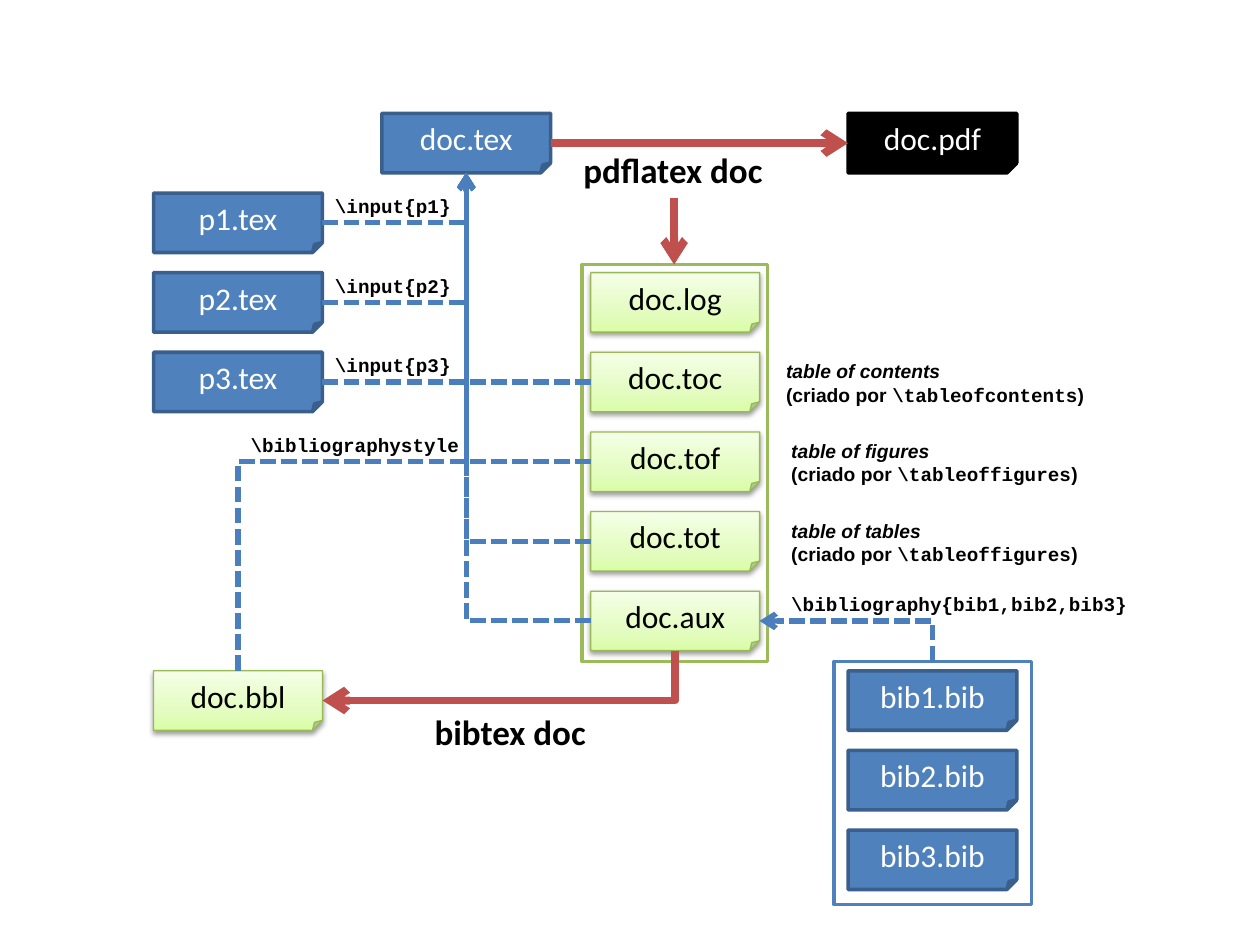
from pptx import Presentation
from pptx.dml.color import RGBColor
from pptx.enum.dml import MSO_LINE
from pptx.enum.shapes import MSO_CONNECTOR as Connector, MSO_SHAPE as Shape
from pptx.enum.text import MSO_ANCHOR, MSO_AUTO_SIZE, PP_ALIGN
from pptx.oxml import parse_xml
from pptx.oxml.ns import nsdecls, qn
from pptx.util import Pt

COLORS = {
    "white": "FFFFFF", "black": "000000", "blue": "4F81BD", "blue edge": "3A5F8C",
    "green": "9BBB59", "green edge": "98B955", "red": "C0504D", "link": "4B7EBC",
}
GREEN_STOPS = [(0, "DAFDA7"), (35, "E4FCC2"), (100, "F5FFE7")]

# Grid of file boxes
BOX_W, BOX_H = 96.5, 34
COLUMNS = {"parts": 87.8, "main": 218.2, "output": 337.6, "right": 484.6}
TOP, PITCH = 64.8, 45.5

# Files: name -> (column, row, style)
FILES = {
    "doc.tex": ("main", 0, "source"),
    "doc.pdf": ("right", 0, "final"),
    "doc.bbl": ("parts", 7, "generated"),
}
for index, name in enumerate(["p1.tex", "p2.tex", "p3.tex"], 1):
    FILES[name] = ("parts", index, "source")
for index, name in enumerate(["doc.log", "doc.toc", "doc.tof", "doc.tot", "doc.aux"], 2):
    FILES[name] = ("output", index, "generated")
for index, name in enumerate(["bib1.bib", "bib2.bib", "bib3.bib"], 7):
    FILES[name] = ("right", index, "source")

# style -> (fill, edge, edge width, text colour); no fill means gradient
STYLES = {
    "source": ("blue", "blue edge", 2, "white"),
    "final": ("black", "black", 2, "white"),
    "generated": (None, "green edge", 0.75, "black"),
}
# left, top, width, height, edge colour
FRAMES = [(476.6, 378, 113, 139, "blue"), (332.6, 151.2, 106, 226.8, "green")]

COMMANDS = [("pdflatex doc", 326.2, 81.4, 118), ("bibtex doc", 241.2, 402.5, 101.5)]
# text, left, row, width
CODE_LABELS = [(f"\\input{{p{n}}}", 184.3, n, 81.4) for n in (1, 2, 3)] + [
    ("\\bibliographystyle", 136.1, 4, 134.6),
    ("\\bibliography{bib1,bib2,bib3}", 445, 6, 208.8),
]
# title, command, left, row, width
NOTES = [
    ("table of contents", "\\tableofcontents", 442.1, 3, 189.4),
    ("table of figures", "\\tableoffigures", 445, 4, 179.3),
    ("table of tables", "\\tableoffigures", 445, 5, 179.3),
]


def color(name):
    return RGBColor.from_string(COLORS[name])


def row_top(row):
    return TOP + row * PITCH


def side(name, x, y):
    """Point on a file box, as fractions of its width and height."""
    column, row, _ = FILES[name]
    return COLUMNS[column] + x * BOX_W, row_top(row) + y * BOX_H


def style_run(run, size, font="Calibri", ink="black", bold=False, italic=False):
    run.font.size, run.font.name = Pt(size), font
    run.font.bold, run.font.italic = bold, italic
    run.font.color.rgb = color(ink)


def add_box(preset, left, top, width, height, fill, edge, edge_width):
    shape = slide.shapes.add_shape(preset, Pt(left), Pt(top), Pt(width), Pt(height))
    shape.line.color.rgb, shape.line.width = color(edge), Pt(edge_width)
    if fill:
        shape.shadow.inherit = False
        shape.fill.solid()
        shape.fill.fore_color.rgb = color(fill)
    else:
        add_green_finish(shape)
    return shape


def add_green_finish(shape):
    """Three-stop gradient and soft shadow."""
    properties = shape._element.spPr
    stops = "".join(f'<a:gs pos="{at * 1000}"><a:srgbClr val="{value}"/></a:gs>'
                    for at, value in GREEN_STOPS)
    shape.fill.background()
    properties.replace(properties.find(qn("a:noFill")), parse_xml(
        f'<a:gradFill {nsdecls("a")} rotWithShape="1"><a:gsLst>{stops}</a:gsLst>'
        '<a:lin ang="16200000" scaled="0"/></a:gradFill>'))
    properties.append(parse_xml(
        f'<a:effectLst {nsdecls("a")}><a:outerShdw blurRad="{Pt(3.1)}" dist="{Pt(1.6)}" '
        f'dir="5400000" rotWithShape="0"><a:srgbClr val="{COLORS["black"]}">'
        '<a:alpha val="38000"/></a:srgbClr></a:outerShdw></a:effectLst>'))


def add_text(lines, left, top, width, height):
    """Each line is a list of (text, run style) pairs."""
    box = slide.shapes.add_textbox(Pt(left), Pt(top), Pt(width), Pt(height))
    frame = box.text_frame
    frame.word_wrap, frame.auto_size = False, MSO_AUTO_SIZE.SHAPE_TO_FIT_TEXT
    for number, line in enumerate(lines):
        paragraph = frame.add_paragraph() if number else frame.paragraphs[0]
        for text, style in line:
            run = paragraph.add_run()
            run.text = text
            style_run(run, bold=True, **style)


def add_arrow(start, end, ink, width, bend=None, upright=False, turn=None):
    """Straight or bent arrow; an upright one leaves its start vertically."""
    (x1, y1), (x2, y2) = start, end
    if upright:  # drawn lying down, then turned a quarter about its centre
        middle_x, middle_y = (x1 + x2) / 2, (y1 + y2) / 2
        half_w, half_h = (y2 - y1) / 2, (x1 - x2) / 2
        x1, x2 = middle_x - half_w, middle_x + half_w
        y1, y2 = middle_y - half_h, middle_y + half_h
    kind = Connector.ELBOW if bend else Connector.STRAIGHT
    connector = slide.shapes.add_connector(kind, Pt(x1), Pt(y1), Pt(x2), Pt(y2))
    connector.line.color.rgb, connector.line.width = color(ink), Pt(width)
    properties = connector._element.spPr
    if upright:
        properties.find(qn("a:xfrm")).set("rot", "5400000")
    if bend:
        geometry = properties.find(qn("a:prstGeom"))
        geometry.set("prst", bend)
        if turn:
            geometry.find(qn("a:avLst")).append(parse_xml(
                f'<a:gd {nsdecls("a")} name="adj1" fmla="val {turn * 1000}"/>'))
    if ink == "link":
        connector.line.dash_style = MSO_LINE.SQUARE_DOT
    connector.line._get_or_add_ln().append(
        parse_xml(f'<a:tailEnd {nsdecls("a")} type="arrow"/>'))
    properties.append(parse_xml(f'<a:effectLst {nsdecls("a")}/>'))


presentation = Presentation()
presentation.slide_width, presentation.slide_height = Pt(720), Pt(540)
slide = presentation.slides.add_slide(presentation.slide_layouts[6])

# Frames and files
for *place, edge in FRAMES:
    add_box(Shape.RECTANGLE, *place, "white", edge, 2)
for name, (column, row, style) in FILES.items():
    fill, edge, edge_width, ink = STYLES[style]
    shape = add_box(Shape.FOLDED_CORNER, COLUMNS[column], row_top(row), BOX_W, BOX_H,
                    fill, edge, edge_width)
    shape.text_frame.text = name
    shape.text_frame.vertical_anchor = MSO_ANCHOR.MIDDLE
    paragraph = shape.text_frame.paragraphs[0]
    paragraph.alignment = PP_ALIGN.CENTER
    style_run(paragraph.runs[0], 18, ink=ink)

# Dashed links into the main file
main_bottom = side("doc.tex", 0.5, 1)
for name in ["p1.tex", "p2.tex", "p3.tex"]:
    add_arrow(side(name, 1, 0.5), main_bottom, "link", 3, "bentConnector2")
for name in ["doc.toc", "doc.tof", "doc.tot", "doc.aux"]:
    add_arrow(side(name, 0, 0.5), main_bottom, "link", 3, "bentConnector2")
add_arrow(side("doc.bbl", 0.5, 0), main_bottom, "link", 3, "bentConnector3", True, 42)
bib_x = side("bib1.bib", 0.5, 0)[0]
add_arrow((bib_x, FRAMES[0][1]), side("doc.aux", 1, 0.5), "link", 3, "bentConnector2", True)

# Red command arrows
add_arrow(side("doc.tex", 1, 0.5), side("doc.pdf", 0, 0.5), "red", 4.5)
add_arrow((385.2, 113), (385.2, FRAMES[1][1]), "red", 4.5)
add_arrow(side("doc.aux", 0.5, 1), side("doc.bbl", 1, 0.5), "red", 4.5, "bentConnector2", True)

# Labels
code = {"size": 11, "font": "Courier New"}
plain = {"size": 11, "font": "Arial"}
for text, left, top, width in COMMANDS:
    add_text([[(text, {"size": 20})]], left, top, width, 31.5)
for text, left, row, width in CODE_LABELS:
    add_text([[(text, code)]], left, row_top(row) - 2.7, width, 20.6)
for title, command, left, row, width in NOTES:
    add_text([[(title, {**plain, "italic": True})],
              [("(criado por ", plain), (command, code), (")", plain)]],
             left, row_top(row) + 0.7, width, 33.9)

presentation.save("out.pptx")
